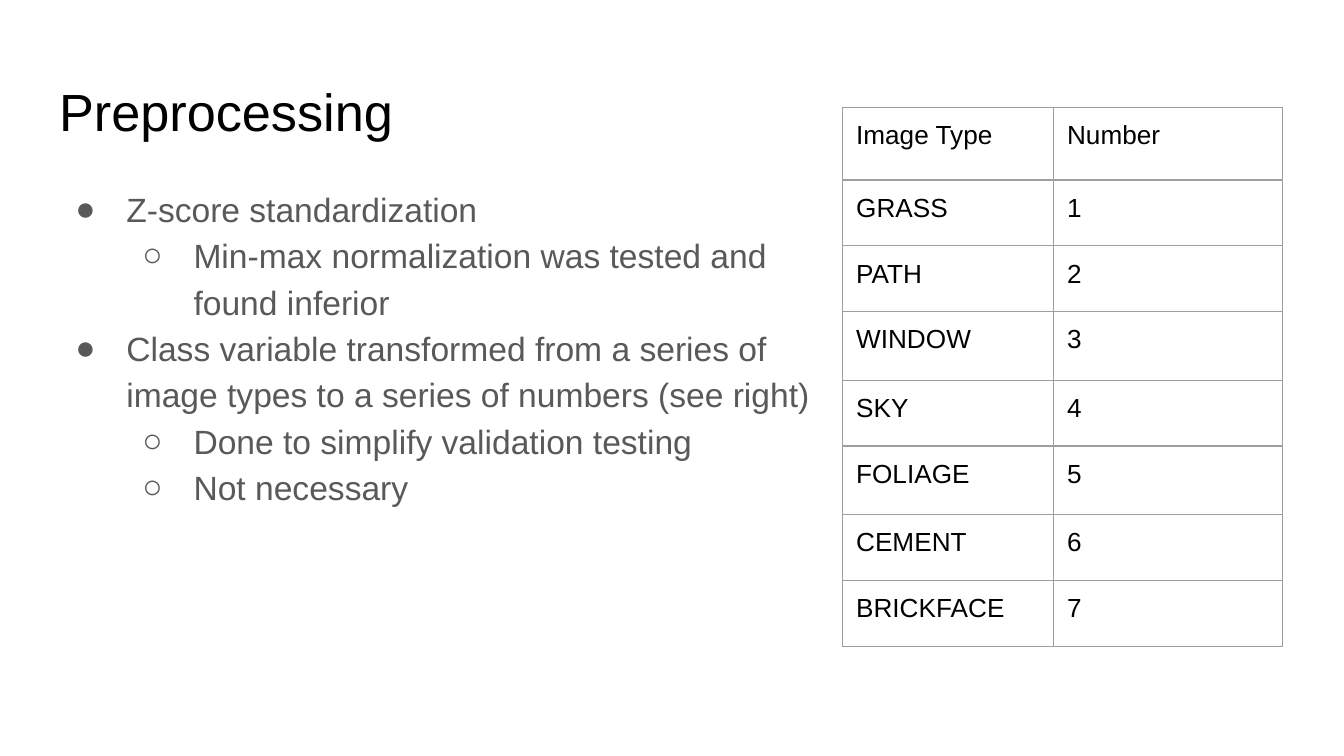
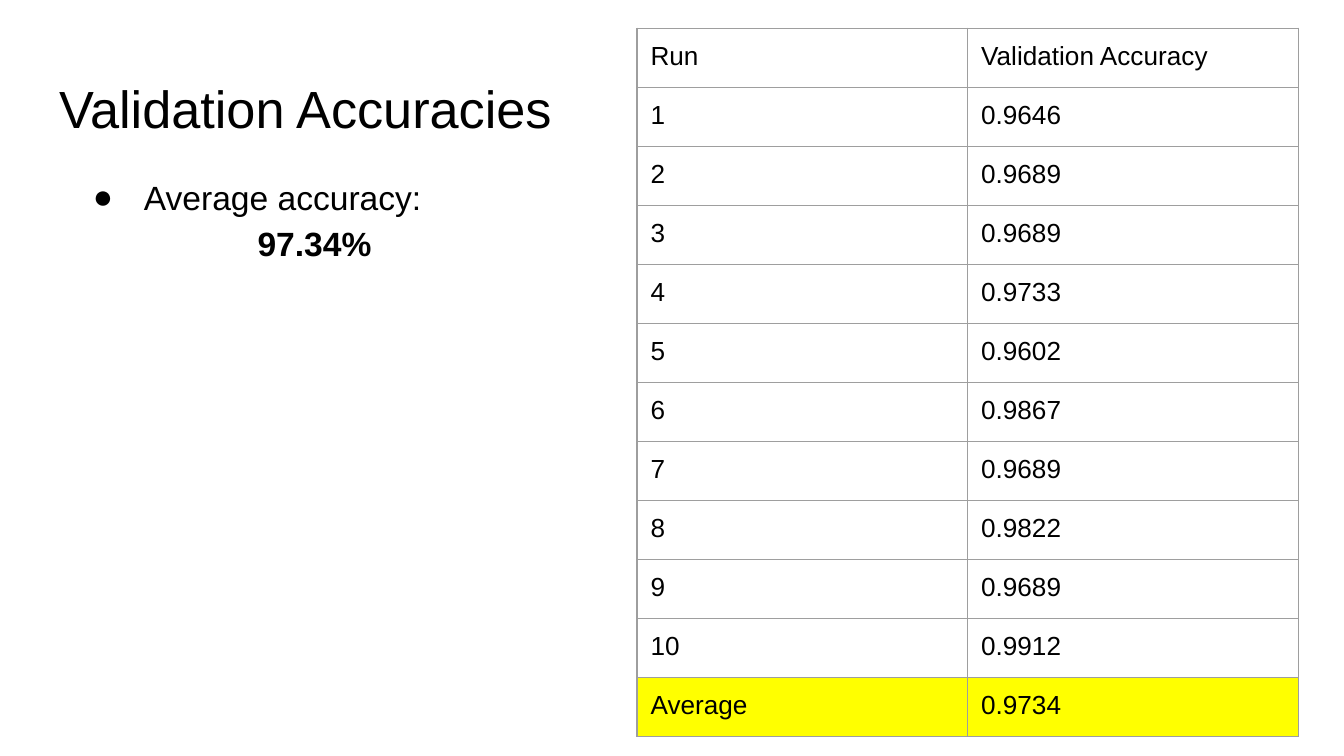
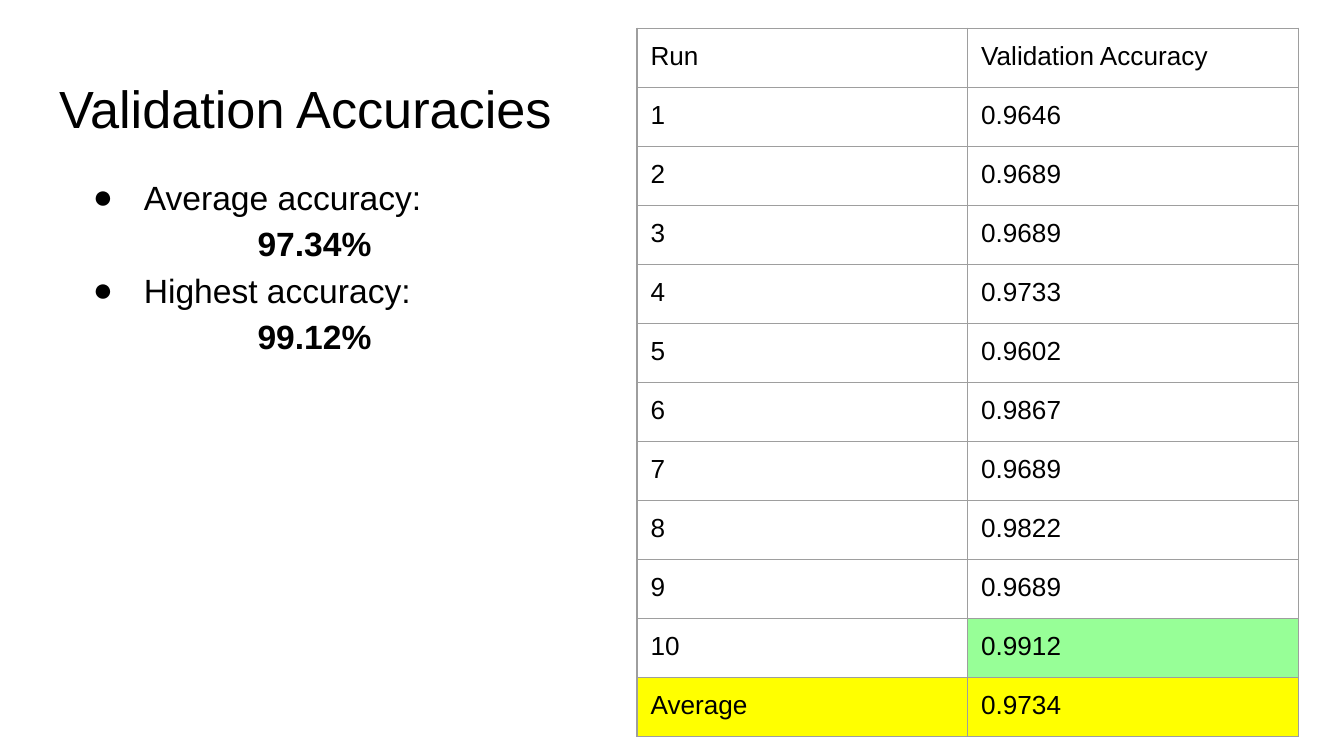
import pptx
import pptx.util
import pptx.dml.color
import pptx.enum.text
import pptx.oxml
import pptx.oxml.ns

FONT = "Arial"
COLORS = {"ink": "000000", "soft": "595959", "rule": "9E9E9E",
          "mean": "FFFF00", "best": "97FF97"}
SIZES = {"title": 28, "list": 18, "cell": 14}
COLS, ROWS = 100, 56.25  # square grid cells, a tenth of an inch each

TYPES = ["GRASS", "PATH", "WINDOW", "SKY", "FOLIAGE", "CEMENT", "BRICKFACE"]
SCORES = ["0.9646", "0.9689", "0.9689", "0.9733", "0.9602",
          "0.9867", "0.9689", "0.9822", "0.9689", "0.9912"]


def color(name):
    return pptx.dml.color.RGBColor.from_string(COLORS[name])


def add_xml(node, text):
    space = pptx.oxml.ns.nsdecls("a")
    node.append(pptx.oxml.parse_xml(text.replace(">", f" {space}>", 1)))


class Deck:
    def __init__(self):
        self.file = pptx.Presentation()
        self.file.slide_width = pptx.util.Inches(10)
        self.file.slide_height = pptx.util.Inches(5.625)
        self.slide = None

    def grid(self, col, row, wide, high):
        """Turn grid columns and rows into left, top, width and height."""
        step = self.file.slide_width / COLS
        down = self.file.slide_height / ROWS
        return [round(n) for n in (col * step, row * down, wide * step, high * down)]

    def start(self):
        self.slide = self.file.slides.add_slide(self.file.slide_layouts[1])

    def place(self, shape, box):
        shape.left, shape.top, shape.width, shape.height = self.grid(*box)
        frame = shape.text_frame
        frame.word_wrap = True
        frame.auto_size = pptx.enum.text.MSO_AUTO_SIZE.NONE
        frame.vertical_anchor = pptx.enum.text.MSO_ANCHOR.TOP
        self.pad(frame)
        return frame

    def pad(self, item):
        item.margin_left = item.margin_right = pptx.util.Inches(0.1)
        item.margin_top = item.margin_bottom = pptx.util.Inches(0.1)

    def style(self, para, size, ink="ink", bold=False):
        font = para.font
        font.name, font.size, font.bold = FONT, pptx.util.Pt(SIZES[size]), bold
        font.color.rgb = color(ink)

    def title(self, text, row):
        frame = self.place(self.slide.shapes.title, (3.4, row, 93.2, 6.3))
        para = frame.paragraphs[0]
        para.text = text
        para.alignment = pptx.enum.text.PP_ALIGN.LEFT
        self.style(para, "title")

    def bullet(self, para, level, ink):
        para.level = level
        props = para._p.get_or_add_pPr()
        props.set("marL", str(pptx.util.Inches(0.5 * (level + 1))))
        props.set("indent", str(pptx.util.Inches(-0.38)))
        add_xml(props, f'<a:buClr><a:srgbClr val="{COLORS[ink]}"/></a:buClr>')
        add_xml(props, f'<a:buFont typeface="{FONT}"></a:buFont>')
        add_xml(props, f'<a:buChar char="{"●○"[level]}"></a:buChar>')

    def center(self, para):
        para.alignment = pptx.enum.text.PP_ALIGN.CENTER
        props = para._p.get_or_add_pPr()
        props.set("marL", "0")
        props.set("indent", "0")
        add_xml(props, "<a:buNone></a:buNone>")

    def list(self, items, box, ink="ink"):
        """Fill the body with (level, text); level None is a bold centred figure."""
        frame = self.place(self.slide.placeholders[1], box)
        for place, (level, text) in enumerate(items):
            para = frame.add_paragraph() if place else frame.paragraphs[0]
            para.text = text
            para.line_spacing = 1.15
            para.space_before = para.space_after = pptx.util.Pt(0)
            if level is None:
                self.center(para)
            else:
                self.bullet(para, level, ink)
            self.style(para, "list", ink, level is None)

    def cell(self, cell, text, fill):
        cell.text = text
        self.pad(cell)
        self.style(cell.text_frame.paragraphs[0], "cell")
        props = cell._tc.get_or_add_tcPr()
        for side in "LRTB":
            add_xml(props, f'<a:ln{side} w="{pptx.util.Pt(0.75)}"><a:solidFill>'
                    f'<a:srgbClr val="{COLORS["rule"]}"/></a:solidFill></a:ln{side}>')
        if fill:
            cell.fill.solid()
            cell.fill.fore_color.rgb = color(fill)
        else:
            cell.fill.background()

    def table(self, data, spot, wide, high, marks=None):
        """Draw rows of text; marks maps (row, column) to a fill name."""
        marks = marks or {}
        box = self.grid(*spot, sum(wide), sum(high))
        table = self.slide.shapes.add_table(len(high), len(wide), *box).table
        table.first_row = table.horz_banding = False
        for col, size in zip(table.columns, wide):
            col.width = self.grid(0, 0, size, 0)[2]
        for row, size in zip(table.rows, high):
            row.height = self.grid(0, 0, 0, size)[3]
        for r, line in enumerate(data):
            for c, text in enumerate(line):
                self.cell(table.cell(r, c), text, marks.get((r, c)))


def prep(deck):
    deck.start()
    deck.title("Preprocessing", 4.9)
    deck.list([
        (0, "Z-score standardization"),
        (1, "Min-max normalization was tested and found inferior"),
        (0, "Class variable transformed from a series of image types "
            "to a series of numbers (see right)"),
        (1, "Done to simplify validation testing"),
        (1, "Not necessary"),
    ], (3.4, 12.6, 58, 37.4), "soft")
    data = [("Image Type", "Number")]
    data += [(name, str(n)) for n, name in enumerate(TYPES, 1)]
    deck.table(data, (62.7, 8), [15.7, 17],
               [5.4, 4.9, 4.9, 5.1, 4.9, 5.1, 4.9, 4.9])


def scores(deck, facts, best=False):
    deck.start()
    deck.title("Validation Accuracies", 4.7)
    items = []
    for label, value in facts:
        items += [(0, label), (None, value)]
    deck.list(items, (4.7, 11.7, 37.4, 43.1))
    data = [("Run", "Validation Accuracy")]
    data += [(str(n), score) for n, score in enumerate(SCORES, 1)]
    data.append(("Average", "0.9734"))
    last = len(data) - 1
    marks = {(last, 0): "mean", (last, 1): "mean"}
    if best:
        marks[SCORES.index(max(SCORES)) + 1, 1] = "best"
    deck.table(data, (47.4, 2.1), [24.6] * 2, [4.39] * len(data), marks)


def main():
    deck = Deck()
    mean = ("Average accuracy:", "97.34%")
    prep(deck)
    scores(deck, [mean])
    scores(deck, [mean, ("Highest accuracy:", "99.12%")], best=True)
    deck.file.save("out.pptx")


if __name__ == "__main__":
    main()
